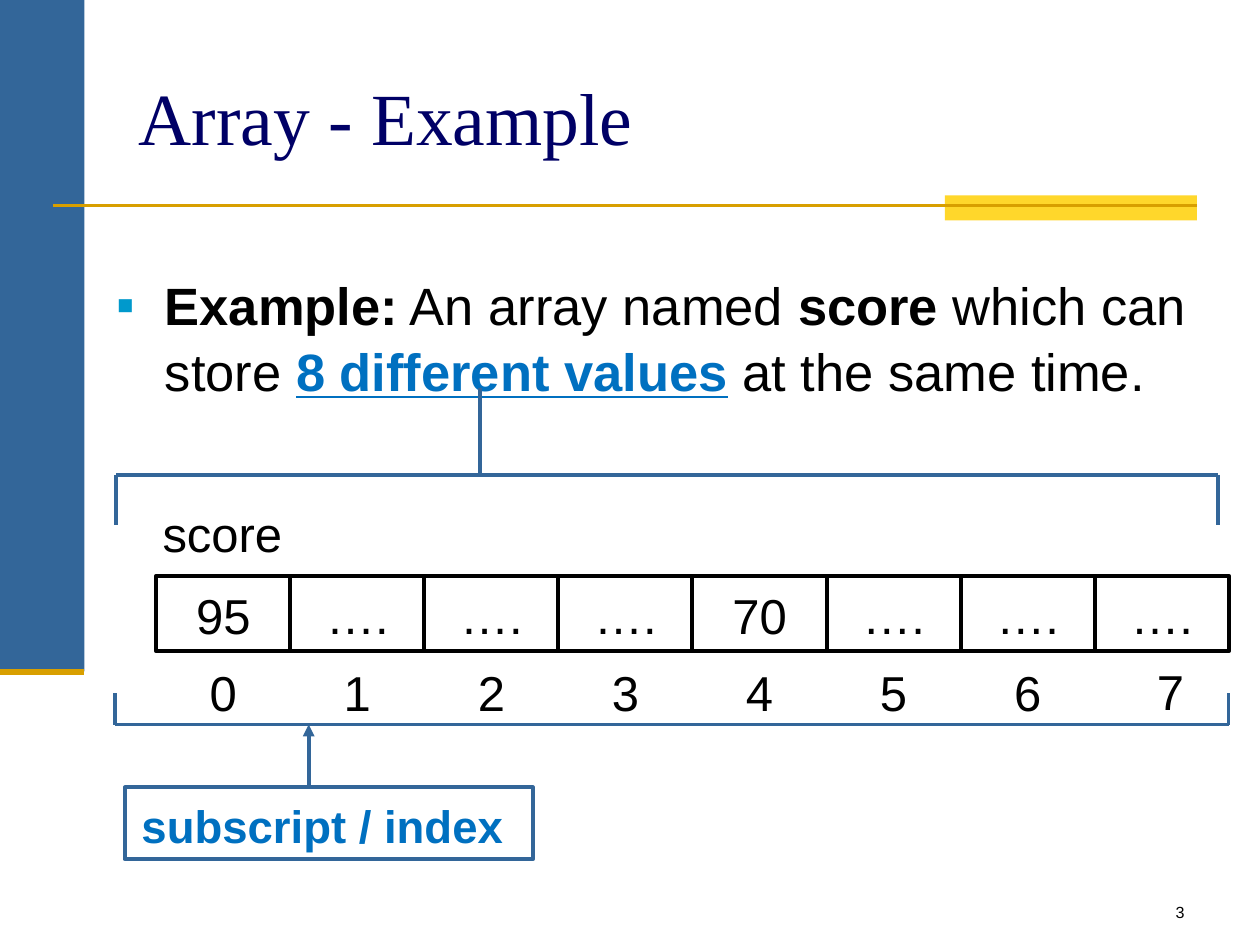
from dataclasses import dataclass

from lxml import etree
from pptx import Presentation
from pptx.dml.color import RGBColor
from pptx.enum.shapes import MSO_CONNECTOR, MSO_SHAPE
from pptx.enum.text import MSO_ANCHOR, PP_ALIGN
from pptx.oxml.ns import qn
from pptx.util import Inches, Pt

RECTANGLE = MSO_SHAPE.RECTANGLE
STRAIGHT = MSO_CONNECTOR.STRAIGHT
LEFT, CENTER, RIGHT = PP_ALIGN.LEFT, PP_ALIGN.CENTER, PP_ALIGN.RIGHT
TOP, MIDDLE = MSO_ANCHOR.TOP, MSO_ANCHOR.MIDDLE

BLUE, GOLD, YELLOW = "336699", "D89F00", "FFD72B"
ACCENT, BLACK, WHITE = "0070C0", "000000", "FFFFFF"
CELL_LEFT, CELL_TOP, CELL_WIDTH, CELL_HEIGHT = 1.24, 4.57, 1.064, 0.6
INDEX_WIDTH = 0.76
VALUES = ["95", "….", "….", "….", "70", "….", "….", "…."]


@dataclass
class Area:
    left: float
    top: float
    width: float
    height: float

    def lengths(self):
        return [Inches(n) for n in (self.left, self.top, self.width, self.height)]


@dataclass
class Line:
    x1: float
    y1: float
    x2: float
    y2: float
    color: str = BLUE
    width: float = 2.25
    arrow: bool = False


@dataclass
class Span:
    text: str
    bold: bool = False
    color: str = BLACK
    underline: bool = False


def rgb(color: str) -> RGBColor:
    return RGBColor.from_string(color)


def style_font(font, size: float, color: str = BLACK, bold: bool = False,
               name: str = "Arial") -> None:
    font.name, font.size, font.bold = name, Pt(size), bold
    font.color.rgb = rgb(color)


def write(shape, text: str, size: float, align=CENTER, color: str = BLACK,
          bold: bool = False) -> None:
    frame = shape.text_frame
    frame.word_wrap = True
    frame.vertical_anchor = TOP
    frame.margin_top = Inches(0.08)
    frame.text = text
    para = frame.paragraphs[0]
    para.alignment = align
    style_font(para.runs[0].font, size, color, bold)


def draw_rectangle(slide, area: Area, fill: str = "", line: str = ""):
    shape = slide.shapes.add_shape(RECTANGLE, *area.lengths())
    shape.shadow.inherit = False
    if fill:
        shape.fill.solid()
        shape.fill.fore_color.rgb = rgb(fill)
    else:
        shape.fill.background()
    if line:
        shape.line.color.rgb = rgb(line)
        shape.line.width = Pt(2.25)
    else:
        shape.line.fill.background()
    return shape


def draw_line(slide, line: Line) -> None:
    ends = [Inches(n) for n in (line.x1, line.y1, line.x2, line.y2)]
    connector = slide.shapes.add_connector(STRAIGHT, *ends)
    connector.line.color.rgb = rgb(line.color)
    connector.line.width = Pt(line.width)
    properties = connector._element.spPr
    if line.arrow:
        outline = properties.find(qn("a:ln"))
        etree.SubElement(outline, qn("a:tailEnd"), type="triangle")
    etree.SubElement(properties, qn("a:effectLst"))


def draw_bracket(slide, left: float, right: float, bar: float, tips: float) -> None:
    """Draw a horizontal bar whose two ends turn towards the tips."""
    draw_line(slide, Line(right, bar, left, bar))
    for x in (left, right):
        draw_line(slide, Line(x, bar, x, tips))


def draw_text(slide, area: Area, text: str, size: float, align=CENTER) -> None:
    write(slide.shapes.add_textbox(*area.lengths()), text, size, align)


def draw_frame(slide) -> None:
    """Draw the side band and the rules around the title."""
    draw_rectangle(slide, Area(0, 0, 0.67, 5.33), BLUE)
    draw_rectangle(slide, Area(7.5, 1.55, 2, 0.2), YELLOW)
    draw_line(slide, Line(0.42, 1.63, 9.5, 1.63, GOLD, 1.5))
    draw_line(slide, Line(0, 5.33, 0.67, 5.33, GOLD, 3.5))
    draw_text(slide, Area(7.42, 7.08, 2.08, 0.25), "3", 9.2, RIGHT)


def draw_title(slide, text: str) -> None:
    title = slide.shapes.title
    title.left, title.top, title.width, title.height = Area(1, 0.3, 8.5, 1.25).lengths()
    title.text_frame.text = text
    title.text_frame.vertical_anchor = MIDDLE
    para = title.text_frame.paragraphs[0]
    para.alignment = LEFT
    style_font(para.runs[0].font, 42, "000066", name="Times New Roman")


def draw_statement(slide, spans: list[Span]) -> None:
    box = slide.shapes.add_textbox(*Area(0.83, 2.08, 9, 1.1).lengths())
    box.text_frame.word_wrap = True
    box.text_frame.margin_top = Inches(0.07)
    para = box.text_frame.paragraphs[0]
    para.line_spacing = 1.04
    properties = para._p.get_or_add_pPr()
    properties.set("marL", str(Inches(0.38)))
    properties.set("indent", str(-Inches(0.38)))
    bullet_color = etree.SubElement(properties, qn("a:buClr"))
    etree.SubElement(bullet_color, qn("a:srgbClr"), val="0099CC")
    etree.SubElement(properties, qn("a:buFont"), typeface="Arial")
    etree.SubElement(properties, qn("a:buChar"), char="▪")
    for span in spans:
        run = para.add_run()
        run.text = span.text
        style_font(run.font, 30, span.color, span.bold)
        run.font.underline = span.underline


def draw_array(slide) -> None:
    draw_text(slide, Area(1.08, 3.92, 1.37, 0.57), "score", 28)
    for index, value in enumerate(VALUES):
        left = CELL_LEFT + index * CELL_WIDTH
        cell = draw_rectangle(slide, Area(left, CELL_TOP, CELL_WIDTH, CELL_HEIGHT), line=BLACK)
        write(cell, value, 28)
        last = index == len(VALUES) - 1
        label_left = 8.91 if last else left + (CELL_WIDTH - INDEX_WIDTH) / 2
        label_top = 5.17 if last else 5.18
        draw_text(slide, Area(label_left, label_top, INDEX_WIDTH, 0.57), str(index), 28)


def main() -> None:
    deck = Presentation()
    deck.slide_width, deck.slide_height = Inches(10), Inches(7.5)
    slide = deck.slides.add_slide(deck.slide_layouts[5])
    draw_frame(slide)
    draw_title(slide, "Array - Example")
    draw_statement(slide, [
        Span("Example:", bold=True),
        Span(" An array named "),
        Span("score", bold=True),
        Span(" which can store "),
        Span("8 different values", bold=True, color=ACCENT, underline=True),
        Span(" at the same time."),
    ])
    draw_line(slide, Line(3.81, 3.08, 3.81, 3.77))
    draw_bracket(slide, 0.92, 9.67, bar=3.77, tips=4.17)
    draw_array(slide)
    draw_line(slide, Line(2.45, 6.33, 2.45, 5.75, arrow=True))
    draw_bracket(slide, 0.91, 9.75, bar=5.75, tips=5.5)
    label = draw_rectangle(slide, Area(0.99, 6.25, 3.24, 0.57), WHITE, BLUE)
    write(label, "subscript / index ", 26, color=ACCENT, bold=True)
    deck.save("out.pptx")


if __name__ == "__main__":
    main()
